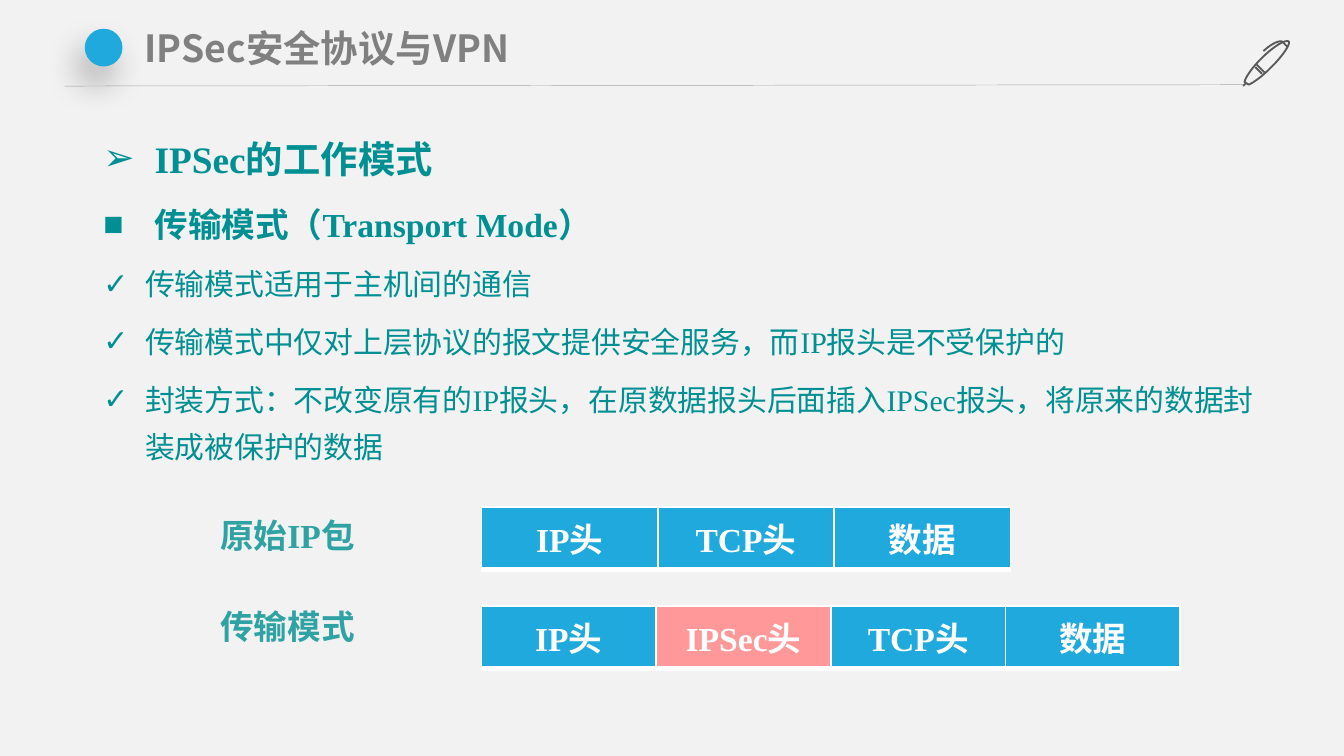
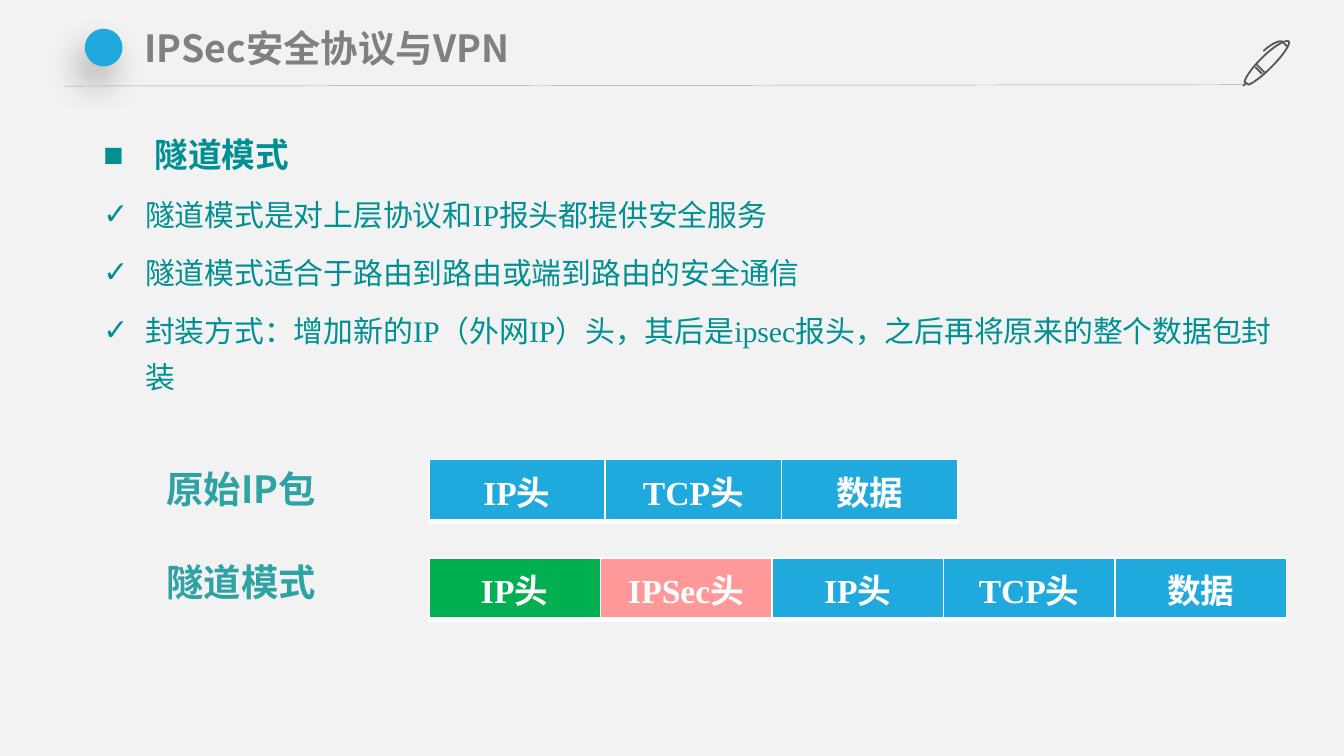
"""Build two slides on the transport and tunnel modes of IPSec."""
from lxml import etree
from pptx import Presentation
from pptx.dml.color import RGBColor
from pptx.enum.shapes import MSO_CONNECTOR, MSO_SHAPE
from pptx.enum.text import MSO_ANCHOR, MSO_AUTO_SIZE, PP_ALIGN
from pptx.oxml.ns import qn
from pptx.util import Pt

LEFT, CENTER = PP_ALIGN.LEFT, PP_ALIGN.CENTER
TOP, NO_FIT = MSO_ANCHOR.TOP, MSO_AUTO_SIZE.NONE
STRAIGHT, OVAL = MSO_CONNECTOR.STRAIGHT, MSO_SHAPE.OVAL

BACKGROUND = RGBColor(0xF2, 0xF2, 0xF2)
BLUE = RGBColor(0x20, 0xA9, 0xDD)
PINK = RGBColor(0xFF, 0x98, 0x99)
GREEN = RGBColor(0x00, 0xB0, 0x50)
TEAL = RGBColor(0x00, 0x8F, 0x92)
LABEL_TEAL = RGBColor(0x2F, 0xA2, 0xA4)
TITLE_GREY = RGBColor(0x80, 0x80, 0x80)
RULE_GREY = RGBColor(0xA6, 0xA6, 0xA6)
PEN_GREY = RGBColor(0x59, 0x59, 0x59)
WHITE = RGBColor(0xFF, 0xFF, 0xFF)
SERIF, SANS = "Times New Roman", "Noto Sans CJK SC"

TITLE = "IPSec安全协议与VPN"
LEVELS = {
    "topic": dict(bullet="➢", indent=27.4, size=20, bold=True),
    "mode": dict(bullet="■", indent=27.4, size=18, bold=True),
    "point": dict(bullet="✓", indent=22.3, size=16),
}
IP, TCP, DATA = ("IP头", BLUE), ("TCP头", BLUE), ("数据", BLUE)
IPSEC, NEW_IP = ("IPSec头", PINK), ("IP头", GREEN)
PLAIN_PACKET = [IP, TCP, DATA]

SLIDES = [
    dict(
        body_height=190,
        body=[
            ("topic", "IPSec的工作模式"),
            ("mode", "传输模式（Transport Mode）"),
            ("point", "传输模式适用于主机间的通信"),
            ("point", "传输模式中仅对上层协议的报文提供安全服务，而IP报头是不受保护的"),
            ("point", "封装方式：不改变原有的IP报头，在原数据报头后面插入IPSec报头，将原来的数据封装成被保护的数据"),
        ],
        label_left=110.9, packet_left=257.9,
        packets=[
            dict(label="原始IP包", font=SERIF, size=18, label_top=272.2,
                 top=271.6, cell_width=94.5, cells=PLAIN_PACKET),
            dict(label="传输模式", font=SANS, size=18, label_top=321.1,
                 top=324.7, cell_width=93.6, cells=[IP, IPSEC, TCP, DATA]),
        ],
    ),
    dict(
        body_height=183.6,
        body=[
            ("mode", "隧道模式"),
            ("point", "隧道模式是对上层协议和IP报头都提供安全服务"),
            ("point", "隧道模式适合于路由到路由或端到路由的安全通信"),
            ("point", "封装方式：增加新的IP（外网IP）头，其后是ipsec报头，之后再将原来的整个数据包封装"),
        ],
        label_left=82.1, packet_left=229.7,
        packets=[
            dict(label="原始IP包", font=SANS, size=20, label_top=246.2,
                 top=246.2, cell_width=94.5, cells=PLAIN_PACKET),
            dict(label="隧道模式", font=SANS, size=20, label_top=295.9,
                 top=298.8, cell_width=91.9,
                 cells=[NEW_IP, IPSEC, IP, TCP, DATA]),
        ],
    ),
]

PEN_LEFT, PEN_TOP, CURVE_STEPS = 666, 20.9, 8
PEN_LINES = [
    [(10.1, 18.7), (6.5, 15.1)],
    [(7.2, 13.7), (11.5, 18)],
    [(1.4, 23.8), (0, 25.2)],
]
PEN_BODY = [
    (24.5, 1.4), (23, 0), (16.6, 3.6), (10.1, 10.1),
    (5, 15.1), (1.4, 20.2), (0.7, 23),
    (2.9, 24.5), (2.9, 24.5), (2.9, 24.5),
    (5, 23.8), (10.1, 20.2), (15.1, 15.1),
    (21.6, 8.6), (25.2, 2.9), (24.5, 1.4),
]
PEN_CLIP = [
    (23.8, 4.3), (23.8, 4.3), (22.3, 2.9), (20.9, 1.4),
    (20.9, 1.4), (18, 0), (10.8, 6.5),
]


def write(p, text, font=SERIF, size=18, color=TEAL, bold=False, align=LEFT,
          bullet=None, indent=0, line=1, before=0, after=0):
    """Fill a paragraph with one formatted run."""
    p.alignment, p.line_spacing = align, line
    p.space_before, p.space_after = Pt(before), Pt(after)
    pPr = p._p.get_or_add_pPr()
    pPr.set("marL", str(Pt(indent)))
    pPr.set("indent", str(-Pt(indent)))
    if bullet:
        etree.SubElement(pPr, qn("a:buChar")).set("char", bullet)
    else:
        etree.SubElement(pPr, qn("a:buNone"))
    r = p.add_run()
    r.text = text
    r.font.name, r.font.size, r.font.bold = font, Pt(size), bold
    r.font.color.rgb = color
    etree.SubElement(r._r.get_or_add_rPr(), qn("a:ea")).set("typeface", SANS)


def place(sp, left, top, width, height):
    """Move a text shape and prepare its frame."""
    sp.left, sp.top, sp.width, sp.height = map(Pt, (left, top, width, height))
    tf = sp.text_frame
    tf.word_wrap, tf.auto_size, tf.vertical_anchor = True, NO_FIT, TOP
    return tf


def flatten(points):
    """Turn a chain of cubic curves into short straight steps."""
    result = [points[0]]
    for i in range(0, len(points) - 1, 3):
        a, b, c, d = points[i:i + 4]
        for step in range(1, CURVE_STEPS + 1):
            t = step / CURVE_STEPS
            u = 1 - t
            result.append(tuple(
                u**3 * a[k] + 3 * u * u * t * b[k] + 3 * u * t * t * c[k] + t**3 * d[k]
                for k in (0, 1)))
    return result


def add_pen(s):
    """Draw the pen in the top right corner."""
    strokes = [flatten(PEN_BODY), flatten(PEN_CLIP), *PEN_LINES]
    strokes = [[(Pt(PEN_LEFT + x), Pt(PEN_TOP + y)) for x, y in stroke]
               for stroke in strokes]
    builder = s.shapes.build_freeform(*strokes[0][0])
    for i, stroke in enumerate(strokes):
        if i:
            builder.move_to(*stroke[0])
        builder.add_line_segments(stroke[1:], close=i == 0)
    sp = builder.convert_to_shape()
    sp.shadow.inherit = False
    sp.fill.background()
    sp.line.color.rgb, sp.line.width = PEN_GREY, Pt(1)


def add_header(s):
    """Draw the rule, pen, dot and title."""
    rule = s.shapes.add_connector(STRAIGHT, Pt(34.6), Pt(46.1), Pt(666), Pt(45.4))
    rule.line.color.rgb, rule.line.width = RULE_GREY, Pt(0.25)
    etree.SubElement(rule._element.spPr, qn("a:effectLst"))
    add_pen(s)
    dot = s.shapes.add_shape(OVAL, Pt(45.4), Pt(15.4), Pt(20.2), Pt(20.2))
    dot.fill.solid()
    dot.fill.fore_color.rgb = BLUE
    dot.line.fill.background()
    dot.shadow.inherit = False
    effects = dot._element.spPr.find(qn("a:effectLst"))
    shadow = etree.SubElement(effects, qn("a:outerShdw"), blurRad=str(Pt(18)),
                              dist=str(Pt(11)), dir=str(113 * 60000),
                              algn="ctr", rotWithShape="0")
    black = etree.SubElement(shadow, qn("a:srgbClr"), val="000000")
    etree.SubElement(black, qn("a:alpha"), val="27000")
    tf = place(s.shapes.title, 70.6, 10.1, 595.4, 31)
    tf.margin_left = tf.margin_right = Pt(6.8)
    tf.margin_top = tf.margin_bottom = Pt(3.2)
    write(tf.paragraphs[0], TITLE, font=SANS, size=20, color=TITLE_GREY, bold=True)


def add_body(s, items, height):
    """Fill the body placeholder with the bullet list."""
    tf = place(s.placeholders[1], 48.2, 61.9, 646.6, height)
    for i, (level, text) in enumerate(items):
        p = tf.add_paragraph() if i else tf.paragraphs[0]
        write(p, text, line=1.3, before=3 if i else 0, after=3, **LEVELS[level])


def add_packet(s, packet, label_left, packet_left):
    """Add a packet label and its row of header cells."""
    box = s.shapes.add_textbox(0, 0, 0, 0)
    tf = place(box, label_left, packet["label_top"], 118.8, packet["size"] * 1.6)
    write(tf.paragraphs[0], packet["label"], font=packet["font"],
          size=packet["size"], color=LABEL_TEAL, bold=True)
    cells, width = packet["cells"], packet["cell_width"]
    table = s.shapes.add_table(1, len(cells), Pt(packet_left), Pt(packet["top"]),
                               Pt(width * len(cells)), Pt(29.5)).table
    table.first_row = table.horz_banding = False
    for i, (text, fill) in enumerate(cells):
        table.columns[i].width = Pt(width)
        cell = table.cell(0, i)
        tcPr = cell._tc.get_or_add_tcPr()
        for side, weight in (("L", 1), ("R", 1), ("T", 1), ("B", 3)):
            ln = etree.SubElement(tcPr, qn("a:ln" + side), w=str(Pt(weight)))
            solid = etree.SubElement(ln, qn("a:solidFill"))
            etree.SubElement(solid, qn("a:srgbClr"), val=str(WHITE))
        cell.fill.solid()
        cell.fill.fore_color.rgb = fill
        write(cell.text_frame.paragraphs[0], text, color=WHITE, bold=True,
              align=CENTER)


def main():
    """Build and save the presentation."""
    prs = Presentation()
    prs.slide_width, prs.slide_height = Pt(720), Pt(405)
    background = prs.slide_master.background.fill
    background.solid()
    background.fore_color.rgb = BACKGROUND
    for content in SLIDES:
        s = prs.slides.add_slide(prs.slide_layouts[1])
        add_header(s)
        add_body(s, content["body"], content["body_height"])
        for packet in content["packets"]:
            add_packet(s, packet, content["label_left"], content["packet_left"])
    prs.save("out.pptx")


if __name__ == "__main__":
    main()
